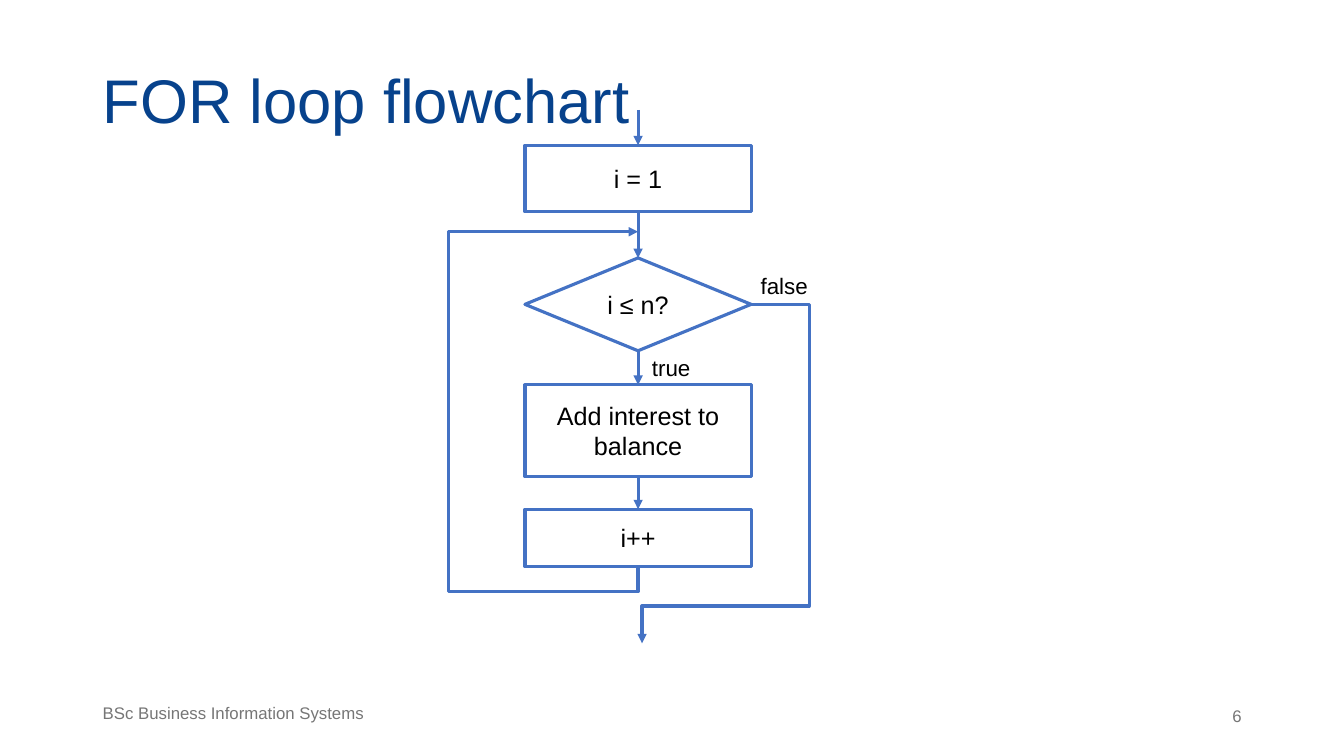
from pptx import Presentation
from pptx.util import Cm, Pt
from pptx.dml.color import RGBColor
from pptx.enum.shapes import MSO_SHAPE as Kind, MSO_CONNECTOR as Link
from pptx.enum.text import PP_ALIGN as Align, MSO_ANCHOR as Anchor, MSO_AUTO_SIZE as Fit
from pptx.oxml.ns import qn
from lxml import etree

BLUE, NAVY, GREY, BLACK, WHITE = "4472C4", "07428C", "767676", "000000", "FFFFFF"
rgb = RGBColor.from_string


def write(shape, text, size, color, align=Align.LEFT):
    frame = shape.text_frame
    frame.text = text
    para = frame.paragraphs[0]
    para.alignment = align
    font = para.runs[0].font
    font.name, font.size = "Arial", Pt(size)
    font.color.rgb = rgb(color)
    return frame


def stroke(shape, arrow=True):
    shape.line.color.rgb = rgb(BLUE)
    shape.line.width = Pt(2.25)
    if arrow:
        line = shape.line._get_or_add_ln()
        etree.SubElement(line, qn("a:tailEnd"), type="triangle")


deck = Presentation()
deck.slide_width, deck.slide_height = Cm(33.87), Cm(19.05)
slide = deck.slides.add_slide(deck.slide_layouts[5])
shapes = slide.shapes

# Title
title = shapes.title
title.left, title.top, title.width, title.height = Cm(2.34), Cm(1.32), Cm(30.12), Cm(2.39)
frame = write(title, "FOR loop flowchart", 44, NAVY)
frame.auto_size = Fit.NONE
frame.vertical_anchor = Anchor.BOTTOM
frame.margin_left = frame.margin_right = frame.margin_top = frame.margin_bottom = Cm(0.25)
frame.paragraphs[0].line_spacing = 0.9

# Footer and page number
foot = shapes.add_textbox(Cm(2.34), Cm(17.63), Cm(8.61), Cm(1.04))
frame = write(foot, "BSc Business Information Systems", 12, GREY)
frame.word_wrap = True
frame.paragraphs[0].line_spacing = 0.9
page = shapes.add_textbox(Cm(25.88), Cm(17.65), Cm(5.66), Cm(1.02))
write(page, "6", 12, GREY, Align.RIGHT).word_wrap = True

# Steps: kind, top, height, text
left, wide = 13.23, 5.7
mid = left + wide / 2
steps = []
for kind, top, high, text in [
    (Kind.RECTANGLE, 3.66, 1.68, "i = 1"),
    (Kind.FLOWCHART_DECISION, 6.5, 2.34, "i ≤ n?"),
    (Kind.RECTANGLE, 9.7, 2.31, "Add interest to balance"),
    (Kind.RECTANGLE, 12.83, 1.45, "i++"),
]:
    step = shapes.add_shape(kind, Cm(left), Cm(top), Cm(wide), Cm(high))
    step.shadow.inherit = False
    step.fill.solid()
    step.fill.fore_color.rgb = rgb(WHITE)
    stroke(step, arrow=False)
    frame = write(step, text, 18, BLACK, Align.CENTER)
    frame.word_wrap = True
    frame.vertical_anchor = Anchor.MIDDLE
    steps.append(step)

# Straight arrows down into each step
for prev, step in zip([None] + steps, steps):
    arrow = shapes.add_connector(Link.STRAIGHT, Cm(mid), Cm(2.77), Cm(mid), step.top)
    if prev is not None:
        arrow.begin_connect(prev, 2)
    arrow.end_connect(step, 0)
    stroke(arrow)
    etree.SubElement(arrow._element.spPr, qn("a:effectLst"))

# Loop back and way out
back = [(mid, 14.28), (mid, 14.91), (11.3, 14.91), (11.3, 5.84), (mid, 5.84)]
out = [(left + wide, 7.67), (20.4, 7.67), (20.4, 15.27), (16.18, 15.27), (16.18, 16.21)]
for route in (back, out):
    spots = [(Cm(x), Cm(y)) for x, y in route]
    pen = shapes.build_freeform(*spots[0])
    pen.add_line_segments(spots[1:], close=False)
    bend = pen.convert_to_shape()
    bend.shadow.inherit = False
    bend.fill.background()
    stroke(bend)

# Branch labels
for text, x, y, span in [("true", 16.18, 8.81, 1.5), ("false", 18.92, 6.73, 1.73)]:
    label = shapes.add_textbox(Cm(x), Cm(y), Cm(span), Cm(0.94))
    frame = write(label, text, 16, BLACK)
    frame.word_wrap = False
    frame.auto_size = Fit.SHAPE_TO_FIT_TEXT

deck.save("out.pptx")
